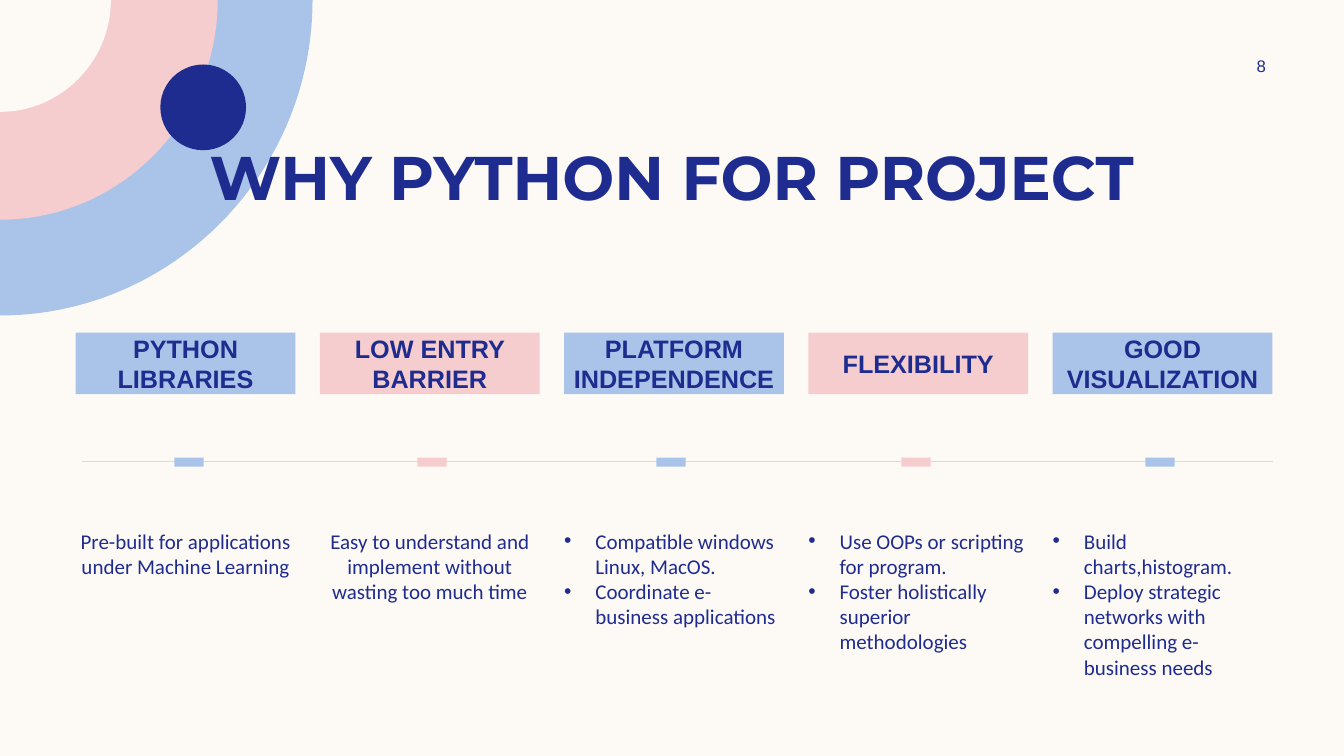
from lxml import etree
from pptx import Presentation
from pptx.dml.color import RGBColor
from pptx.enum.shapes import MSO_CONNECTOR, MSO_SHAPE
from pptx.enum.text import MSO_ANCHOR, PP_ALIGN
from pptx.oxml.ns import qn
from pptx.util import Inches, Pt

RECTANGLE, OVAL = MSO_SHAPE.RECTANGLE, MSO_SHAPE.OVAL
STRAIGHT = MSO_CONNECTOR.STRAIGHT
TOP, MIDDLE = MSO_ANCHOR.TOP, MSO_ANCHOR.MIDDLE
LEFT, CENTER = PP_ALIGN.LEFT, PP_ALIGN.CENTER

CREAM, NAVY, BLUE, PINK, ROSE = "FDFAF6", "1F2C8F", "AAC3E8", "F5CDCE", "F2D1D1"

FIRST_LEFT, LAST_LEFT, COLUMN_WIDTH = 0.75, 10.44, 2.18
BULLET_INDENT = 0.31
ARC_HANDLE = 0.55

# Heading, marker left, text height, text paragraphs, bulleted
REASONS = [
    ("PYTHON LIBRARIES", 1.83, 0.87,
     ["Pre-built for applications under Machine Learning"], False),
    ("LOW ENTRY BARRIER", 4.24, 0.87,
     ["Easy to understand and implement without wasting too much time"], False),
    ("PLATFORM INDEPENDENCE", 6.61, 1.1,
     ["Compatible windows Linux, MacOS.",
      "Coordinate e-\nbusiness applications"], True),
    ("FLEXIBILITY", 9.04, 0.87,
     ["Use OOPs or scripting for program.",
      "Foster holistically superior methodologies"], True),
    ("GOOD VISUALIZATION", 11.46, 0.87,
     ["Build charts,histogram.",
      "Deploy strategic networks with compelling e-\nbusiness needs"], True),
]


def color(value):
    return RGBColor.from_string(value)


def paint(shape, fill):
    shape.shadow.inherit = False
    shape.fill.solid()
    shape.fill.fore_color.rgb = color(fill)
    shape.line.fill.background()


def add_filled(page, kind, left, top, width, height, fill):
    shape = page.shapes.add_shape(
        kind, Inches(left), Inches(top), Inches(width), Inches(height))
    paint(shape, fill)
    return shape


def add_quarter_disc(page, width, height, fill):
    """Draw a quarter ellipse centred on the slide's top left corner."""
    builder = page.shapes.build_freeform(0, 0)
    builder.add_line_segments(
        [(Inches(width), 0), (0, Inches(height))], close=True)
    disc = builder.convert_to_shape()
    paint(disc, fill)

    chord = list(disc._element.iter(qn("a:lnTo")))[1]
    curve = etree.Element(qn("a:cubicBezTo"))
    for x, y in ((width, height * ARC_HANDLE),
                 (width * ARC_HANDLE, height), (0, height)):
        point = etree.SubElement(curve, qn("a:pt"))
        point.set("x", str(Inches(x)))
        point.set("y", str(Inches(y)))
    chord.getparent().replace(chord, curve)


def add_text_box(page, left, top, width, height):
    return page.shapes.add_textbox(
        Inches(left), Inches(top), Inches(width), Inches(height))


def set_frame(box, anchor, side=0.1, edge=0.05):
    frame = box.text_frame
    frame.word_wrap = True
    frame.vertical_anchor = anchor
    frame.margin_left = frame.margin_right = Inches(side)
    frame.margin_top = frame.margin_bottom = Inches(edge)
    return frame


def write(para, text, font, size, bold=False, align=CENTER):
    para.alignment = align
    for index, line in enumerate(text.split("\n")):
        if index:
            para.add_line_break()
        span = para.add_run()
        span.text = line
        span.font.name = font
        span.font.size = Pt(size)
        span.font.bold = bold
        span.font.color.rgb = color(NAVY)


def add_bullet(para):
    properties = para._p.get_or_add_pPr()
    properties.set("marL", str(Inches(BULLET_INDENT)))
    properties.set("indent", str(-Inches(BULLET_INDENT)))
    etree.SubElement(properties, qn("a:buFont")).set("typeface", "Arial")
    etree.SubElement(properties, qn("a:buChar")).set("char", "•")


def add_timeline(page):
    line = page.shapes.add_connector(
        STRAIGHT, Inches(0.81), Inches(4.58), Inches(12.63), Inches(4.58))
    line.line.color.rgb = color(ROSE)
    line.line.width = Pt(1)
    etree.SubElement(line._element.spPr, qn("a:effectLst"))


def add_reason(page, left, fill, heading, marker_left, height, texts, bulleted):
    box = add_filled(page, RECTANGLE, left, 3.3, COLUMN_WIDTH, 0.61, fill)
    frame = set_frame(box, MIDDLE, 0, 0)
    write(frame.paragraphs[0], heading, "Arial", 18, bold=True)

    marker = add_filled(page, RECTANGLE, marker_left, 4.44, 0.09, 0.29, fill)
    marker.rotation = 270

    frame = set_frame(add_text_box(page, left, 5.19, COLUMN_WIDTH, height), TOP, 0)
    for index, text in enumerate(texts):
        para = frame.add_paragraph() if index else frame.paragraphs[0]
        write(para, text, "Calibri", 15, align=LEFT if bulleted else CENTER)
        if bulleted:
            add_bullet(para)


def main():
    deck = Presentation()
    deck.slide_width, deck.slide_height = Inches(13.33), Inches(7.5)
    page = deck.slides.add_slide(deck.slide_layouts[6])
    page.background.fill.solid()
    page.background.fill.fore_color.rgb = color(CREAM)

    add_quarter_disc(page, 3.1, 3.13, BLUE)
    add_quarter_disc(page, 2.16, 2.18, PINK)
    add_quarter_disc(page, 1.1, 1.11, CREAM)
    add_filled(page, OVAL, 1.59, 0.64, 0.85, 0.85, NAVY)
    add_timeline(page)

    title = set_frame(add_text_box(page, 0.83, 1.33, 11.67, 0.84), TOP)
    write(title.paragraphs[0], "WHY PYTHON FOR PROJECT", "Montserrat", 44, bold=True)
    number = set_frame(add_text_box(page, 11.97, 0.5, 1.08, 0.3), MIDDLE)
    write(number.paragraphs[0], "8", "Arial", 12)

    column_step = (LAST_LEFT - FIRST_LEFT) / (len(REASONS) - 1)
    for index, reason in enumerate(REASONS):
        fill = PINK if index % 2 else BLUE
        add_reason(page, FIRST_LEFT + index * column_step, fill, *reason)

    deck.save("out.pptx")


if __name__ == "__main__":
    main()
